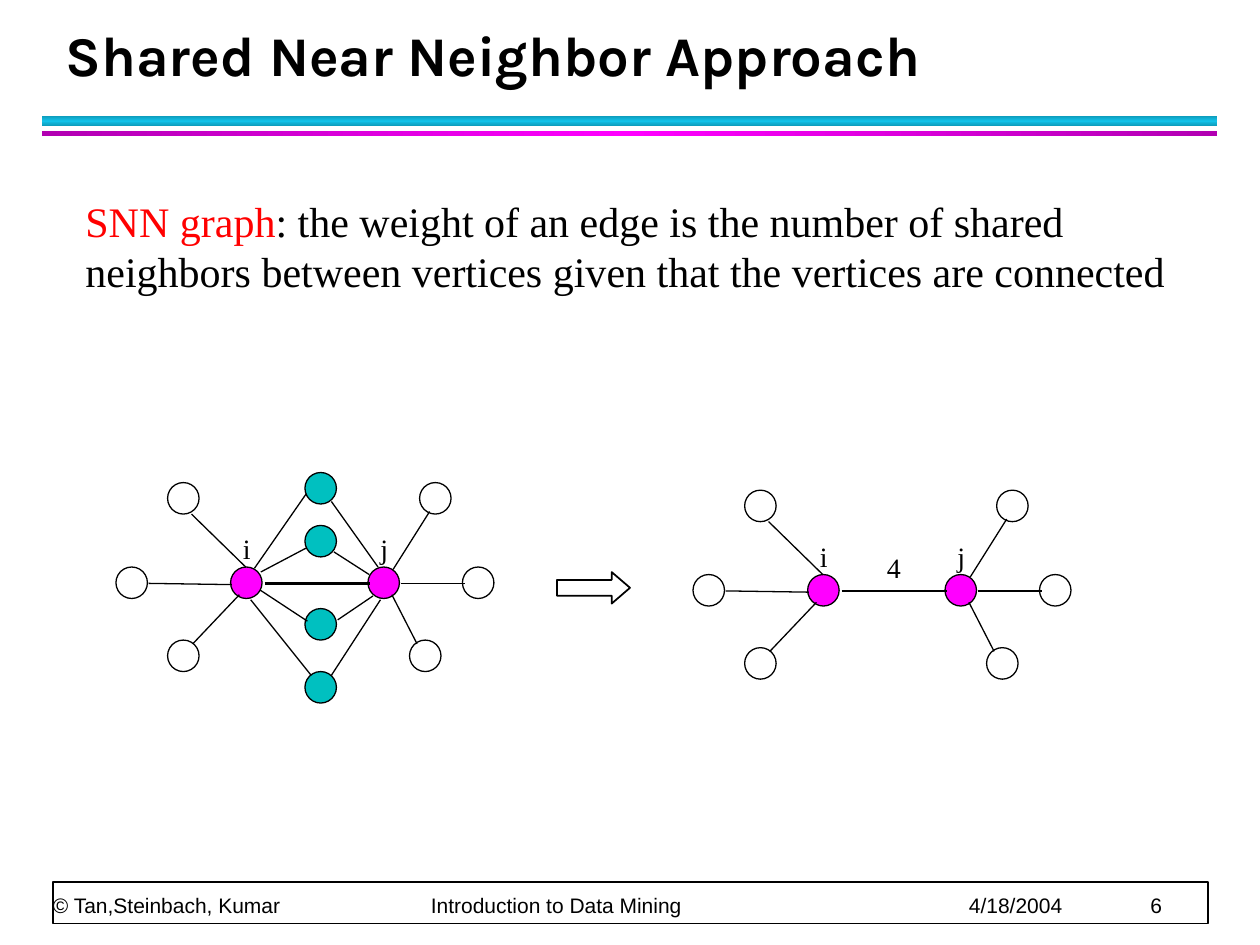
from copy import deepcopy
from dataclasses import dataclass

from lxml import etree
from pptx import Presentation
from pptx.dml.color import RGBColor
from pptx.enum.shapes import MSO_CONNECTOR, MSO_SHAPE
from pptx.enum.text import MSO_ANCHOR, MSO_AUTO_SIZE, PP_ALIGN
from pptx.oxml.ns import qn
from pptx.util import Inches, Pt

RECTANGLE = MSO_SHAPE.RECTANGLE
OVAL = MSO_SHAPE.OVAL
RIGHT_ARROW = MSO_SHAPE.RIGHT_ARROW
STRAIGHT = MSO_CONNECTOR.STRAIGHT
BOTTOM = MSO_ANCHOR.BOTTOM
NO_AUTOFIT = MSO_AUTO_SIZE.NONE
LEFT = PP_ALIGN.LEFT

BLACK = RGBColor(0x00, 0x00, 0x00)
WHITE = RGBColor(0xFF, 0xFF, 0xFF)
RED = RGBColor(0xFF, 0x00, 0x00)
MAGENTA = RGBColor(0xFF, 0x00, 0xFF)
DARK_MAGENTA = RGBColor(0xB2, 0x00, 0xB2)
CYAN = RGBColor(0x12, 0xC2, 0xE9)
DARK_CYAN = RGBColor(0x0E, 0x9B, 0xBA)
TEAL = RGBColor(0x00, 0xC0, 0xC0)

SERIF = "Times New Roman"
NODE_SIZE = 0.25
TITLE_ONLY = 5


@dataclass(frozen=True)
class Node:
    left: float
    top: float
    fill: RGBColor | None = None


@dataclass(frozen=True)
class Edge:
    x1: float
    y1: float
    x2: float
    y2: float
    weight: float = 0.75


@dataclass(frozen=True)
class Label:
    text: str
    left: float
    top: float
    width: float = 0.33


@dataclass(frozen=True)
class Graph:
    nodes: list[Node]
    labels: list[Label]
    edges: list[Edge]


@dataclass(frozen=True)
class Band:
    top: float
    height: float
    edge: RGBColor
    middle: RGBColor
    angle: float


BANDS = [
    Band(0.92, 0.08, DARK_CYAN, CYAN, 90),
    Band(1.04, 0.04, DARK_MAGENTA, MAGENTA, 0),
]

PAIR_GRAPH = Graph(
    nodes=[
        Node(1.83, 4.5, MAGENTA), Node(2.92, 4.5, MAGENTA),
        Node(1.33, 5.08), Node(0.92, 4.5), Node(1.33, 3.83),
        Node(3.33, 3.83), Node(3.25, 5.08), Node(3.67, 4.5),
    ],
    labels=[Label("i", 1.83, 4.17), Label("j", 2.92, 4.17)],
    edges=[
        Edge(1.53, 5.11, 1.9, 4.72), Edge(1.18, 4.63, 1.84, 4.64),
        Edge(1.52, 4.08, 1.95, 4.5), Edge(2.1, 4.63, 2.94, 4.63, 1.5),
        Edge(3.18, 4.63, 3.69, 4.63), Edge(3.31, 5.11, 3.11, 4.72),
        Edge(3.12, 4.52, 3.41, 4.06),
    ],
)

SHARED_NEIGHBORS = Graph(
    nodes=[Node(2.42, top, TEAL) for top in (3.75, 4.17, 4.83, 5.33)],
    labels=[],
    edges=[
        Edge(2.07, 4.54, 2.43, 4.35), Edge(2.06, 4.68, 2.44, 4.93),
        Edge(2.47, 5.36, 1.99, 4.76), Edge(2.02, 4.51, 2.43, 3.92),
        Edge(2.68, 4.92, 2.96, 4.73), Edge(2.63, 5.36, 3.02, 4.76),
        Edge(2.93, 4.56, 2.65, 4.38), Edge(3, 4.5, 2.63, 3.98),
    ],
)

EDGE_WEIGHT = Graph(nodes=[], labels=[Label("4", 6.94, 4.32, 0.37)], edges=[])


def add_run(paragraph, text: str, size: float, font: str, color: RGBColor, bold: bool = False) -> None:
    run = paragraph.add_run()
    run.text = text
    run.font.size = Pt(size)
    run.font.name = font
    run.font.bold = bold
    run.font.color.rgb = color


def add_outlined(slide, kind, left: float, top: float, width: float, height: float,
                 fill: RGBColor | None, weight: float):
    shape = slide.shapes.add_shape(kind, Inches(left), Inches(top), Inches(width), Inches(height))
    shape.shadow.inherit = False
    if fill is None:
        shape.fill.background()
    else:
        shape.fill.solid()
        shape.fill.fore_color.rgb = fill
    shape.line.color.rgb = BLACK
    shape.line.width = Pt(weight)
    return shape


def add_text_box(slide, left: float, top: float, width: float, height: float):
    box = slide.shapes.add_textbox(Inches(left), Inches(top), Inches(width), Inches(height))
    box.text_frame.word_wrap = True
    return box.text_frame


def add_band(slide, band: Band) -> None:
    shape = slide.shapes.add_shape(RECTANGLE, Inches(0.33), Inches(band.top), Inches(9.33), Inches(band.height))
    shape.shadow.inherit = False
    shape.line.fill.background()
    shape.fill.gradient()
    shape.fill.gradient_angle = band.angle
    stop_list = shape._element.spPr.find(".//" + qn("a:gsLst"))
    stop_list.append(deepcopy(stop_list[0]))
    colors = (band.edge, band.middle, band.edge)
    for stop, position, color in zip(shape.fill.gradient_stops, (0, 0.5, 1), colors):
        stop.position = position
        stop.color.rgb = color


def add_graph(slide, graph: Graph, dx: float = 0, dy: float = 0) -> None:
    for node in graph.nodes:
        add_outlined(slide, OVAL, node.left + dx, node.top + dy, NODE_SIZE, NODE_SIZE, node.fill, 0.75)
    for label in graph.labels:
        frame = add_text_box(slide, label.left + dx, label.top + dy, label.width, 0.37)
        add_run(frame.paragraphs[0], label.text, 16, SERIF, BLACK)
    for edge in graph.edges:
        line = slide.shapes.add_connector(
            STRAIGHT, Inches(edge.x1 + dx), Inches(edge.y1 + dy), Inches(edge.x2 + dx), Inches(edge.y2 + dy))
        line.line.color.rgb = BLACK
        line.line.width = Pt(edge.weight)
        etree.SubElement(line._element.spPr, qn("a:effectLst"))


def add_footer(slide) -> None:
    add_outlined(slide, RECTANGLE, 0.42, 7, 9.17, 0.33, WHITE, 1)
    frame = add_text_box(slide, 0.42, 6.72, 9.15, 0.56)
    frame.margin_left = frame.margin_right = frame.margin_top = frame.margin_bottom = 0
    frame.vertical_anchor = BOTTOM
    footer = frame.paragraphs[0]
    footer.line_spacing = Pt(20)
    tab_list = etree.SubElement(footer._p.get_or_add_pPr(), qn("a:tabLst"))
    for position in (3, 7.27, 8.71):
        etree.SubElement(tab_list, qn("a:tab"), pos=str(Inches(position)), algn="l")
    parts = ("© Tan,Steinbach, Kumar", "Introduction to Data Mining", "4/18/2004", "6")
    add_run(footer, "\t".join(parts), 12, "Arial", BLACK)


def add_title(slide) -> None:
    title = slide.shapes.title
    title.left, title.top, title.width, title.height = (Inches(v) for v in (0.42, 0.17, 9.06, 0.58))
    frame = title.text_frame
    frame.word_wrap = True
    frame.auto_size = NO_AUTOFIT
    frame.vertical_anchor = BOTTOM
    heading = frame.paragraphs[0]
    heading.alignment = LEFT
    heading.line_spacing = Pt(36)
    add_run(heading, "Shared Near Neighbor Approach", 32, "Karla", BLACK, True)


def main() -> None:
    deck = Presentation()
    deck.slide_width, deck.slide_height = Inches(10), Inches(7.5)
    slide = deck.slides.add_slide(deck.slide_layouts[TITLE_ONLY])
    add_title(slide)
    for band in BANDS:
        add_band(slide, band)
    add_footer(slide)
    add_graph(slide, SHARED_NEIGHBORS)
    add_graph(slide, PAIR_GRAPH)
    add_graph(slide, PAIR_GRAPH, 4.58, 0.06)
    add_graph(slide, EDGE_WEIGHT)
    definition = add_text_box(slide, 0.58, 1.5, 8.83, 0.9).paragraphs[0]
    add_run(definition, "SNN graph", 24, SERIF, RED)
    add_run(definition, ": the weight of an edge is the number of shared neighbors between vertices "
            "given that the vertices are connected", 24, SERIF, BLACK)
    arrow = add_outlined(slide, RIGHT_ARROW, 4.42, 4.54, 0.58, 0.25, None, 1)
    arrow.adjustments[0], arrow.adjustments[1] = 0.5, 0.58
    deck.save("out.pptx")


if __name__ == "__main__":
    main()
